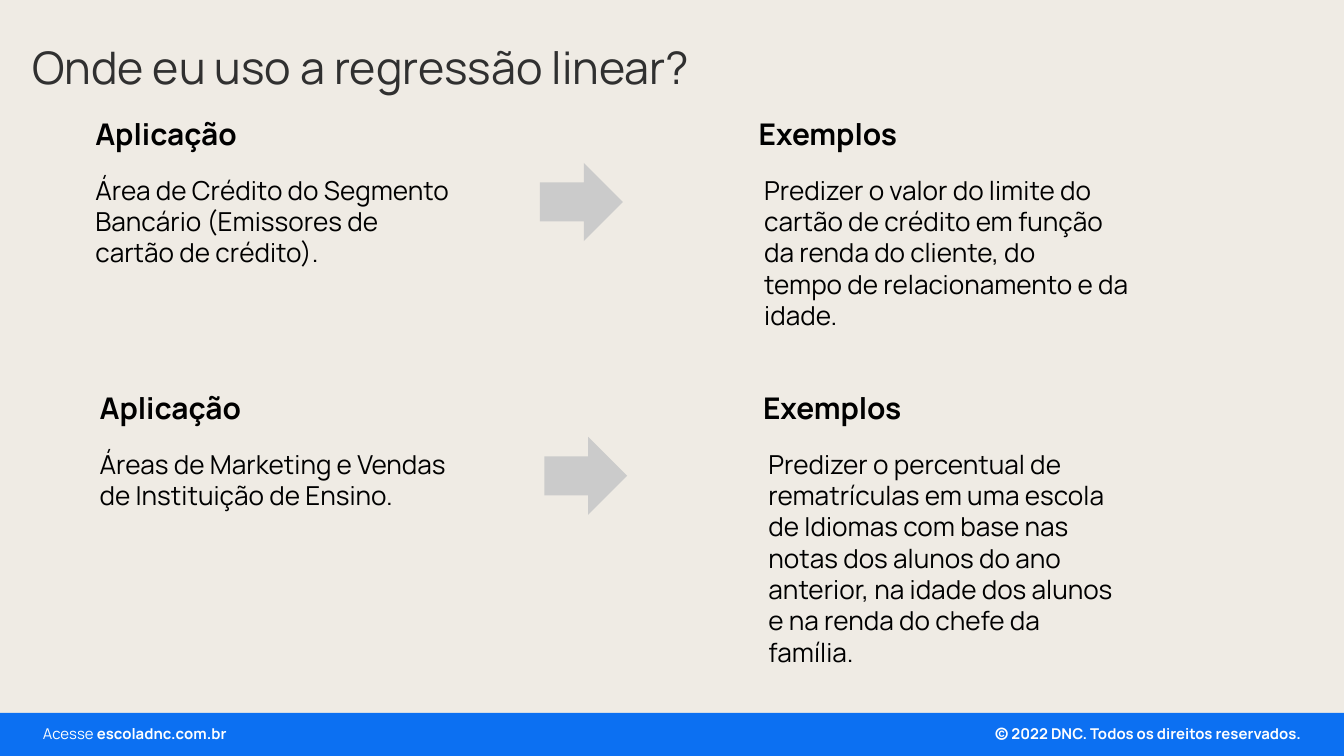
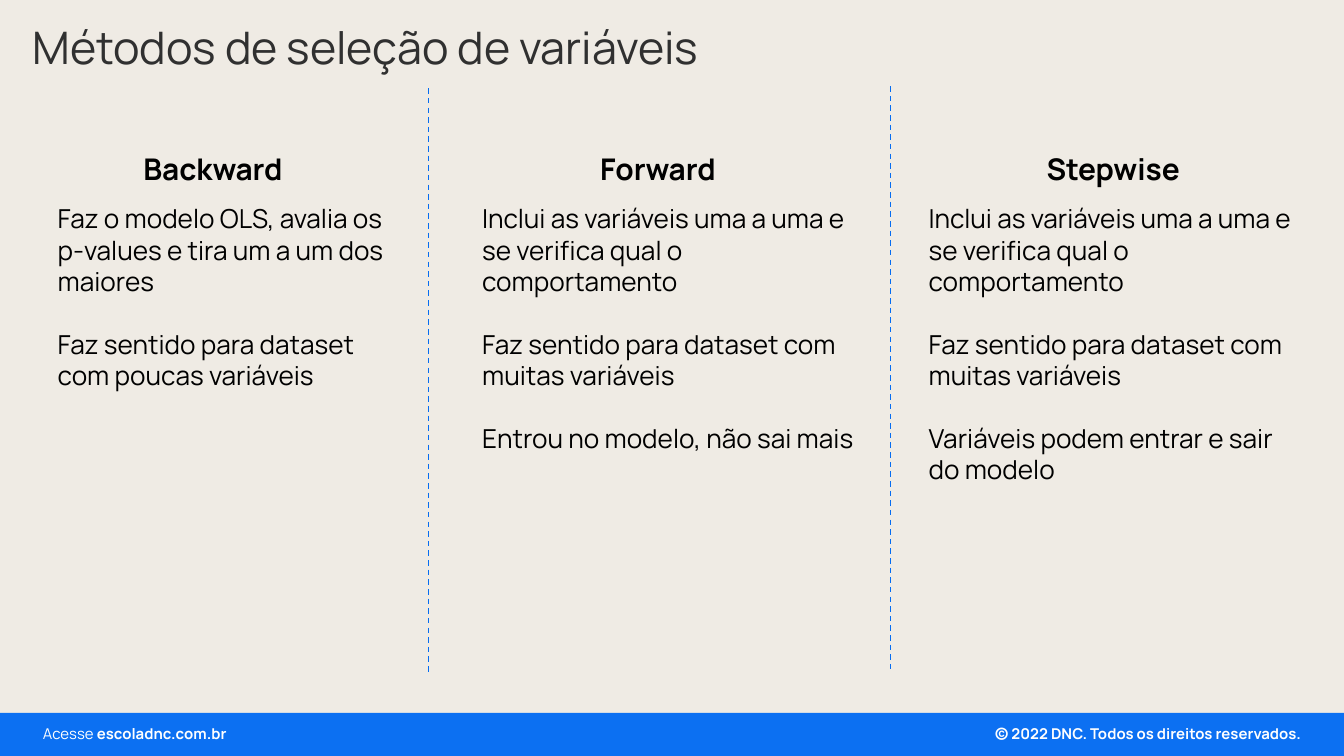
"""Build two slides on linear regression: where it is used and how variables are selected."""
from lxml import etree
from pptx import Presentation
from pptx.dml.color import RGBColor
from pptx.enum import dml, shapes, text
from pptx.oxml import ns
from pptx.util import Pt

FONT = "Manrope"
SAND = RGBColor(0xEF, 0xEB, 0xE4)
BAND_BLUE = RGBColor(0x0C, 0x70, 0xF2)
LINE_BLUE = RGBColor(0x05, 0x6C, 0xF1)
GREY = RGBColor(0xCB, 0xCB, 0xCB)
INK = RGBColor(0x30, 0x30, 0x30)
BLACK = RGBColor(0, 0, 0)
WHITE = RGBColor(0xFF, 0xFF, 0xFF)

WIDTH, HEIGHT = 720, 405
BAND_TOP = 381.9
BODY_LINE = 16.8

USES = [
    ("Área de Crédito do Segmento Bancário (Emissores de cartão de crédito).",
     ["Predizer o valor do limite do cartão de crédito em função da renda do cliente, do",
      "tempo de relacionamento e da idade."]),
    ("Áreas de Marketing e Vendas de Instituição de Ensino.",
     ["Predizer o percentual de rematrículas em uma escola de Idiomas com base nas",
      "notas dos alunos do ano anterior, na idade dos alunos e na renda do chefe da",
      "família."]),
]

ADD_ONE = "Inclui as variáveis uma a uma e se verifica qual o comportamento"
MANY = "Faz sentido para dataset com muitas variáveis"
METHODS = [
    ("Backward", 69.8, 23.8, 193,
     ["Faz o modelo OLS, avalia os p-values e tira um a um dos maiores",
      "Faz sentido para dataset com poucas variáveis"]),
    ("Forward", 314.5, 251.2, 217.4, [ADD_ONE, MANY, "Entrou no modelo, não sai mais"]),
    ("Stepwise", 553.6, 490.4, 217.4,
     [ADD_ONE, MANY, "Variáveis podem entrar e sair do modelo"]),
]
DIVIDERS = [(229.6, 47.3), (477.2, 46.2)]
DIVIDER_HEIGHT = 313.2


def style_font(p, size, color, bold=False):
    """Set the font of a whole paragraph."""
    p.font.name = FONT
    p.font.size = Pt(size)
    p.font.color.rgb = color
    p.font.bold = bold


def set_insets(tf, side, top):
    """Set the horizontal and vertical insets of a text frame."""
    tf.margin_left = tf.margin_right = Pt(side)
    tf.margin_top = tf.margin_bottom = Pt(top)


def add_text(s, x, y, w, h, paragraphs, size=14, color=BLACK, bold=False, gap=0):
    """Add a wrapping text box with one style and return its text frame."""
    tf = s.shapes.add_textbox(Pt(x), Pt(y), Pt(w), Pt(h)).text_frame
    tf.word_wrap = True
    tf.auto_size = text.MSO_AUTO_SIZE.SHAPE_TO_FIT_TEXT
    set_insets(tf, 7.2, 3.6)
    for i, words in enumerate(paragraphs):
        p = tf.add_paragraph() if i else tf.paragraphs[0]
        p.text = words
        if i and gap:
            p.space_before = Pt(gap)
        style_font(p, size, color, bold)
    return tf


def add_heading(s, x, y, w, h, words, spacing=1.0):
    """Add a bold heading above a text block."""
    tf = add_text(s, x, y, w, h, [words], size=16, bold=True)
    tf.paragraphs[0].line_spacing = spacing


def add_block(s, kind, x, y, w, h, color):
    """Add a plain filled shape without outline or shadow."""
    sp = s.shapes.add_shape(kind, Pt(x), Pt(y), Pt(w), Pt(h))
    sp.shadow.inherit = False
    sp.fill.solid()
    sp.fill.fore_color.rgb = color
    sp.line.fill.background()


def add_divider(s, x, y):
    """Add a vertical dashed line."""
    line = s.shapes.add_connector(
        shapes.MSO_CONNECTOR.STRAIGHT, Pt(x), Pt(y), Pt(x), Pt(y + DIVIDER_HEIGHT))
    line.line.color.rgb = LINE_BLUE
    line.line.width = Pt(0.75)
    line.line.dash_style = dml.MSO_LINE.DASH
    etree.SubElement(line.element.spPr, ns.qn("a:effectLst"))


def add_slide(prs, title, w, h):
    """Add a title-only slide with its title placed and styled."""
    s = prs.slides.add_slide(prs.slide_layouts[5])
    sp = s.shapes.title
    sp.left, sp.top, sp.width, sp.height = Pt(12.2), Pt(5.8), Pt(w), Pt(h)
    tf = sp.text_frame
    tf.text = title
    tf.word_wrap = True
    tf.auto_size = text.MSO_AUTO_SIZE.NONE
    tf.vertical_anchor = text.MSO_ANCHOR.MIDDLE
    set_insets(tf, 5.2, 2.6)
    p = tf.paragraphs[0]
    p.alignment = text.PP_ALIGN.LEFT
    p.line_spacing = 0.9
    style_font(p, 24, INK)
    return s


def move_footer_to_layout(s):
    """Build the footer band and put it on the layout that all slides share."""
    layout = s.slide_layout
    for ph in list(layout.placeholders):
        if ph.placeholder_format.type != shapes.PP_PLACEHOLDER.TITLE:
            ph.element.getparent().remove(ph.element)
    add_block(s, shapes.MSO_SHAPE.RECTANGLE, 0, BAND_TOP, WIDTH, HEIGHT - BAND_TOP, BAND_BLUE)
    rights = add_text(s, 510.3, 385.8, 192.2, 15.1,
                      ["© 2022 DNC. Todos os direitos reservados."], 8, WHITE, True)
    rights.paragraphs[0].alignment = text.PP_ALIGN.RIGHT
    site = add_text(s, 17.8, 385.8, 177.1, 15.1, ["Acesse "], 8, WHITE)
    r = site.paragraphs[0].add_run()
    r.text = "escoladnc.com.br"
    r.font.bold = True
    for tf in (rights, site):
        set_insets(tf, 5.2, 2.6)
    for sp in list(s.shapes):
        if not sp.is_placeholder:
            layout.shapes.element.append(sp.element)


def fill_uses(s):
    """Lay out each application, its arrow and its examples."""
    for i, (area, examples) in enumerate(USES):
        x, y = 2.3 * i, 58.3 + 146.7 * i
        add_heading(s, 44 + x, y, 96.5, 26.6, "Aplicação")
        add_text(s, 44 + x, y + 31.4, 209.5, 58.3, [area])
        add_block(s, shapes.MSO_SHAPE.RIGHT_ARROW, 289.3 + x, y + 29, 44.4, 41.8, GREY)
        add_heading(s, 399.4 + x, y, 96.5, 26.6, "Exemplos")
        add_text(s, 402.3 + x, y + 31.4, 209.5, 92.2, examples)


def fill_methods(s):
    """Lay out the selection methods in columns with dividers between them."""
    for name, heading_x, x, w, notes in METHODS:
        add_heading(s, heading_x, 67.7, 100, 33.1, name, spacing=1.5)
        add_text(s, x, 105.1, w, 159.8, notes, gap=BODY_LINE)
    for x, y in DIVIDERS:
        add_divider(s, x, y)


def main():
    """Build and save the presentation."""
    prs = Presentation()
    prs.slide_width, prs.slide_height = Pt(WIDTH), Pt(HEIGHT)
    fill = prs.slide_master.background.fill
    fill.solid()
    fill.fore_color.rgb = SAND
    s = add_slide(prs, "Onde eu uso a regressão linear?", 487.4, 63.4)
    move_footer_to_layout(s)
    fill_uses(s)
    fill_methods(add_slide(prs, "Métodos de seleção de variáveis", 426.2, 41.8))
    prs.save("out.pptx")


if __name__ == "__main__":
    main()
